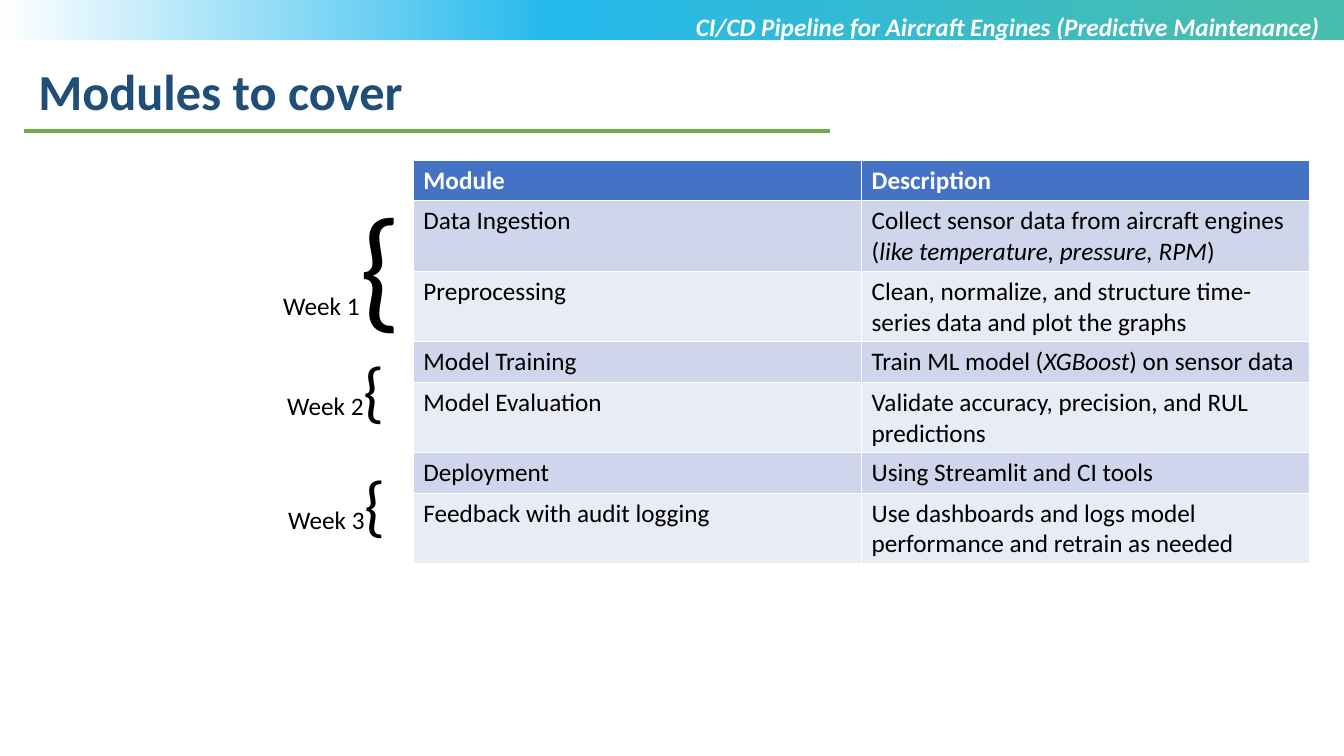
from copy import deepcopy
from dataclasses import dataclass

from lxml import etree
from pptx import Presentation
from pptx.dml.color import RGBColor
from pptx.enum.shapes import MSO_CONNECTOR, MSO_SHAPE
from pptx.enum.text import MSO_ANCHOR, MSO_AUTO_SIZE, PP_ALIGN
from pptx.oxml.ns import qn
from pptx.util import Inches, Pt

RECT = MSO_SHAPE.RECTANGLE
STRAIGHT = MSO_CONNECTOR.STRAIGHT
TOP = MSO_ANCHOR.TOP
GROW = MSO_AUTO_SIZE.SHAPE_TO_FIT_TEXT
LEFT, CENTER = PP_ALIGN.LEFT, PP_ALIGN.CENTER
TITLE_ONLY = 5


@dataclass(frozen=True)
class Theme:
    font: str = "Calibri"
    title: str = "1F4E79"
    rule: str = "70AD47"
    text: str = "000000"
    light: str = "FFFFFF"
    header: str = "4472C4"
    bands: tuple = ("CFD5EA", "E9EBF5")
    banner: tuple = ((0.05, "47BDAE"), (0.59, "25B9ED"), (1, "FFFFFF"))
    title_size: int = 36
    body_size: int = 18
    rule_width: float = 2.25


class SlideBuilder:
    def __init__(self, s, theme):
        self.s = s
        self.theme = theme

    def place(self, sp, box):
        for name, value in zip(("left", "top", "width", "height"), box):
            setattr(sp, name, Inches(value))

    def add_runs(self, tf, runs, color, align=LEFT, **base):
        p = tf.paragraphs[0]
        p.alignment = align
        for text, extra in runs:
            r = p.add_run()
            r.text = text
            style = {"name": self.theme.font, "size": self.theme.body_size,
                     "bold": False, "italic": False, **base, **extra}
            style["size"] = Pt(style["size"])
            for name, value in style.items():
                setattr(r.font, name, value)
            r.font.color.rgb = RGBColor.from_string(color)

    def banner(self, box):
        sp = self.s.shapes.add_shape(RECT, *map(Inches, box))
        sp.shadow.inherit = False
        sp.line.fill.background()
        sp.fill.gradient()
        sp.fill.gradient_angle = 180
        stops = next(sp.element.iter(qn("a:gsLst")))
        stops.append(deepcopy(stops[-1]))
        for stop, (position, color) in zip(sp.fill.gradient_stops, self.theme.banner):
            stop.position = position
            stop.color.rgb = RGBColor.from_string(color)

    def title(self, text, box):
        sp = self.s.shapes.title
        self.place(sp, box)
        tf = sp.text_frame
        for name, value in {"vertical_anchor": TOP, "auto_size": GROW}.items():
            setattr(tf, name, value)
        self.add_runs(tf, [(text, {})], self.theme.title,
                      size=self.theme.title_size, bold=True)

    def rule(self, x1, x2, y):
        line = self.s.shapes.add_connector(STRAIGHT, *map(Inches, (x1, y, x2, y)))
        line.line.color.rgb = RGBColor.from_string(self.theme.rule)
        line.line.width = Pt(self.theme.rule_width)
        etree.SubElement(line.element.spPr, qn("a:effectLst"))

    def text(self, runs, box, color, wrap=True, **style):
        tf = self.s.shapes.add_textbox(*map(Inches, box)).text_frame
        for name, value in {"word_wrap": wrap, "auto_size": GROW}.items():
            setattr(tf, name, value)
        self.add_runs(tf, runs, color, **style)

    def table(self, rows, box):
        frame = self.s.shapes.add_table(len(rows), len(rows[0]), *map(Inches, box))
        for i, row in enumerate(rows):
            header = i == 0
            fill = self.theme.header if header else self.theme.bands[(i - 1) % 2]
            color = self.theme.light if header else self.theme.text
            for j, runs in enumerate(row):
                cell = frame.table.cell(i, j)
                cell.fill.solid()
                cell.fill.fore_color.rgb = RGBColor.from_string(fill)
                self.add_runs(cell.text_frame, runs, color, bold=header)


def plain(text):
    return [(text, {})]


def around(before, emphasis, after):
    return [(before, {}), (emphasis, {"italic": True}), (after, {})]


MODULES = [
    ("Module", plain("Description")),
    ("Data Ingestion", around("Collect sensor data from aircraft engines (",
                              "like temperature, pressure, RPM", ")")),
    ("Preprocessing", plain("Clean, normalize, and structure time-series data and plot the graphs")),
    ("Model Training", around("Train ML model (", "XGBoost", ") on sensor data")),
    ("Model Evaluation", plain("Validate accuracy, precision, and RUL predictions")),
    ("Deployment", plain("Using Streamlit and CI tools")),
    ("Feedback with audit logging",
     plain("Use dashboards and logs model performance and retrain as needed")),
]

WEEKS = [
    ("Week 1", 96, (2.71, 1.75, 1.39, 1.72), False),
    ("Week 2", 48, (2.75, 3.41, 1.35, 0.91), True),
    ("Week 3", 48, (2.76, 4.54, 1.35, 0.91), True),
]


def main():
    prs = Presentation()
    prs.slide_width, prs.slide_height = Inches(13.33), Inches(7.5)
    theme = Theme()
    slide = SlideBuilder(prs.slides.add_slide(prs.slide_layouts[TITLE_ONLY]), theme)
    slide.banner((0, 0, 13.33, 0.4))
    slide.title("Modules to cover", (0.28, 0.55, 11.62, 0.71))
    slide.rule(0.24, 8.23, 1.3)
    slide.text(plain("CI/CD Pipeline for Aircraft Engines (Predictive Maintenance)"),
               (6.66, 0.06, 6.67, 0.4), theme.light, align=CENTER, bold=True, italic=True)
    slide.table([(plain(name), about) for name, about in MODULES],
                (4.1, 1.59, 8.89, 0.4 * len(MODULES)))
    for label, brace_size, box, wrap in WEEKS:
        slide.text([(label, {}), ("{", {"size": brace_size})], box, theme.text, wrap)
    prs.save("out.pptx")


if __name__ == "__main__":
    main()
